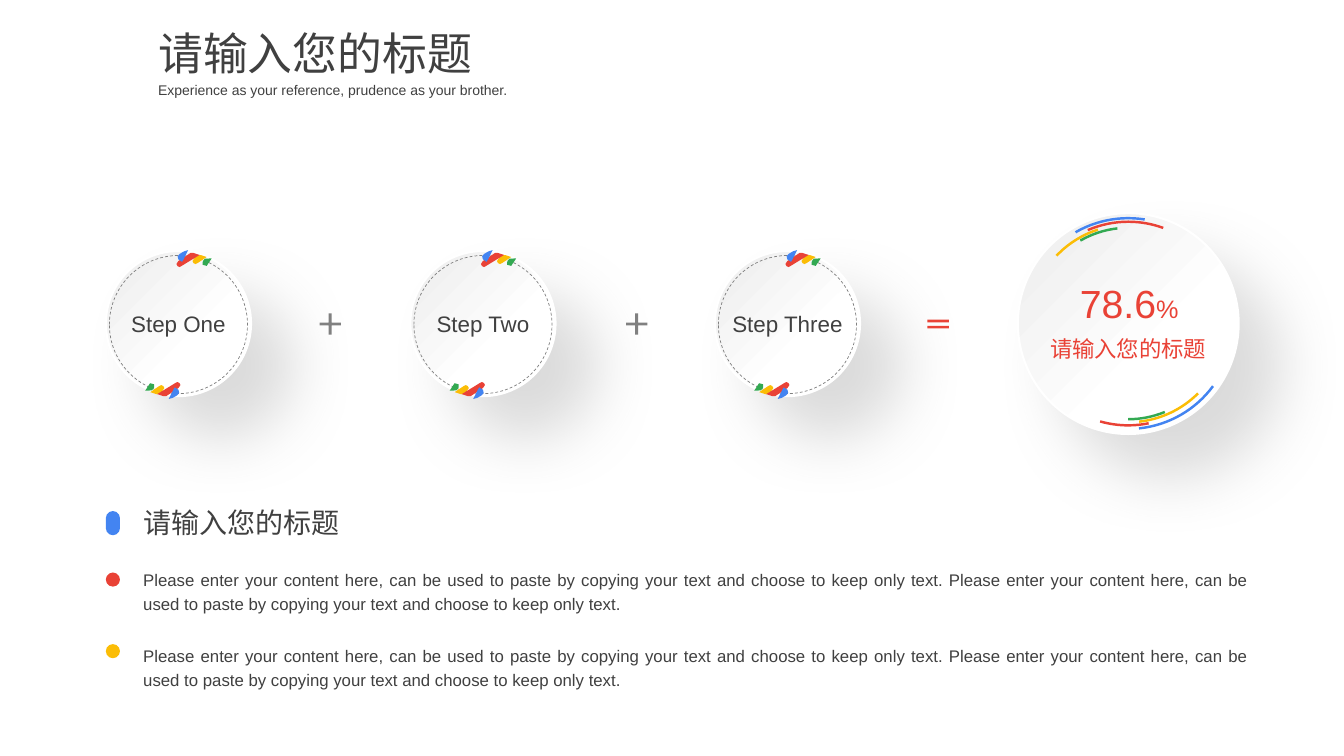
from copy import deepcopy

from lxml.etree import SubElement
from pptx import Presentation
from pptx.dml.color import RGBColor
from pptx.enum.dml import MSO_LINE
from pptx.enum.shapes import MSO_SHAPE as Shape
from pptx.enum.text import MSO_ANCHOR, MSO_AUTO_SIZE, PP_ALIGN as Align
from pptx.oxml.ns import qn
from pptx.util import Inches, Pt

FONT = "Arial"
COLORS = {
    "white": "FFFFFF", "pale": "ECECEC", "shadow": "A6A6A6",
    "gray": "808080", "text": "404040", "red": "E94236",
    "yellow": "FBBD06", "blue": "4384F1", "green": "33A952",
}
HEADING = "请输入您的标题"
CONTENT = " ".join(["Please enter your content here, can be used to paste by "
                    "copying your text and choose to keep only text."] * 2)

STEPS = ["Step One", "Step Two", "Step Three"]
STEP_X, STEP_Y, STEP_GAP = 1.77, 3.22, 3.02

# Ribbon outlines around the step centre: colour, rotation, points
RIBBONS = [
    ("yellow", 0, [(.2, -.69), (.22, -.69), (.28, -.67), (.19, -.61), (.17, -.6),
                   (.15, -.61), (.14, -.63), (.16, -.66)]),
    ("red", 0, [(.12, -.71), (.15, -.71), (.21, -.69), (.03, -.58), (.01, -.57),
                (-.01, -.58), (-.02, -.6), (0, -.63)]),
    ("blue", 330, [(.03, -.72), (.08, -.72), (.12, -.71), (.03, -.65), (.01, -.64),
                   (0, -.66), (-.01, -.68), (0, -.71)]),
    ("green", 330, [(.28, -.66), (.34, -.63), (.28, -.6), (.26, -.59),
                    (.24, -.61), (.23, -.62), (.25, -.65)]),
]

# Result arcs: colour, diameter, rotation, start and end adjustment
RESULT_X, RESULT_Y = 11.19, 3.21
ARCS = [
    ("red", 2.02, 30, 170.41, 186.95),
    ("yellow", 1.96, 45, 192.82, 0),
    ("green", 1.9, 0, 162, 175.49),
    ("blue", 2.09, 0, 165.51, 194.14),
    ("red", 2.02, 270, 203.95, 14.05),
    ("yellow", 1.96, 285, 19.74, 36.97),
    ("green", 1.9, 240, 201.91, 0),
    ("blue", 2.09, 240, 192.61, 0),
]


def rgb(name):
    return RGBColor.from_string(COLORS[name])


def paint(shape, fill=None, line=None, width=1):
    shape.shadow.inherit = False
    if fill:
        shape.fill.solid()
        shape.fill.fore_color.rgb = rgb(fill)
    else:
        shape.fill.background()
    if line:
        shape.line.color.rgb = rgb(line)
        shape.line.width = Pt(width)
    else:
        shape.line.fill.background()


def add_preset(shapes, kind, left, top, width, height, fill=None, line=None,
               line_width=1, adjustments=()):
    shape = shapes.add_shape(kind, Inches(left), Inches(top),
                             Inches(width), Inches(height))
    for index, value in enumerate(adjustments):
        shape.adjustments[index] = value
    paint(shape, fill, line, line_width)
    return shape


def add_circle(shapes, x, y, diameter, **style):
    return add_preset(shapes, Shape.OVAL, x - diameter / 2, y - diameter / 2,
                      diameter, diameter, **style)


def add_disc(shapes, x, y, diameter):
    """Add a raised disc with a pale gradient and a soft shadow."""
    disc = add_circle(shapes, x, y, diameter, line="white", line_width=1.5)
    disc.fill.gradient()
    disc.fill.gradient_angle = 135
    stops = disc.fill.gradient_stops
    for stop, color, position in zip(stops, ["white", "pale"], [0.36, 1]):
        stop.color.rgb = rgb(color)
        stop.position = position
    properties = disc.element.spPr
    stop_list = properties.find(".//" + qn("a:gsLst"))
    first_stop = deepcopy(stop_list[0])
    first_stop.set("pos", "0")
    stop_list.insert(0, first_stop)

    shadow = SubElement(properties.find(qn("a:effectLst")), qn("a:outerShdw"),
                        blurRad=str(Pt(44)), dist=str(Pt(42)),
                        dir=str(45 * 60000), algn="tl", rotWithShape="0")
    color = SubElement(shadow, qn("a:srgbClr"), val=COLORS["shadow"])
    SubElement(color, qn("a:alpha"), val="40000")


def add_ribbon(shapes, x, y, color, rotation, points):
    outline = [(Inches(x + dx), Inches(y + dy)) for dx, dy in points]
    builder = shapes.build_freeform(*outline[0])
    builder.add_line_segments(outline[1:], close=True)
    ribbon = builder.convert_to_shape()
    ribbon.rotation = rotation
    paint(ribbon, color)


def add_step(slide, x, label):
    shapes = slide.shapes.add_group_shape().shapes
    add_disc(shapes, x, STEP_Y - 0.01, 1.44)
    ring = add_circle(shapes, x, STEP_Y, 1.37, line="gray", line_width=0.5)
    ring.line.dash_style = MSO_LINE.DASH
    for side in (1, -1):
        for color, rotation, points in RIBBONS:
            turned = [(side * dx, side * dy) for dx, dy in points]
            add_ribbon(shapes, x, STEP_Y, color, rotation, turned)
    add_text(slide, x - 0.72, 3.03, 1.44, 0.37, [(label, 16)], align=Align.CENTER)


def add_result(slide):
    shapes = slide.shapes.add_group_shape().shapes
    add_disc(shapes, RESULT_X, RESULT_Y, 2.19)
    for color, diameter, rotation, start, end in ARCS:
        arc = add_preset(shapes, Shape.ARC, RESULT_X - diameter / 2,
                         RESULT_Y - diameter / 2, diameter, diameter,
                         line=color, line_width=1.75, adjustments=(start, end))
        arc.rotation = rotation
        arc.element.spPr.find(qn("a:xfrm")).set("flipV", "1")
    add_text(slide, 10.41, 2.72, 1.58, 0.57, [("78.6", 28), ("%", 18)],
             "red", Align.CENTER)
    add_text(slide, 9.87, 3.28, 2.64, 0.37, [(HEADING, 16)], "red", Align.CENTER)


def format_paragraph(paragraph, sizes, color="text", align=Align.LEFT, spacing=1):
    paragraph.alignment = align
    paragraph.line_spacing = spacing
    paragraph.space_before = Pt(0)
    for run, size in zip(paragraph.runs, sizes):
        run.font.name = FONT
        run.font.size = Pt(size)
        run.font.color.rgb = rgb(color)


def add_text(slide, left, top, width, height, parts, color="text",
             align=Align.LEFT, spacing=1):
    box = slide.shapes.add_textbox(Inches(left), Inches(top),
                                   Inches(width), Inches(height))
    box.text_frame.word_wrap = True
    paragraph = box.text_frame.paragraphs[0]
    for text, _ in parts:
        paragraph.add_run().text = text
    format_paragraph(paragraph, [size for _, size in parts], color, align, spacing)


def place(placeholder, left, top, width, height, text):
    placeholder.left, placeholder.top = Inches(left), Inches(top)
    placeholder.width, placeholder.height = Inches(width), Inches(height)
    frame = placeholder.text_frame
    frame.text = text
    frame.vertical_anchor = MSO_ANCHOR.TOP
    frame.auto_size = MSO_AUTO_SIZE.NONE
    return frame.paragraphs


def fill_placeholders(slide):
    title, body = slide.placeholders
    format_paragraph(place(title, 1.47, 0.2, 3.67, 0.64, HEADING)[0], [32])
    items = place(body, 1.32, 5.56, 11.17, 1.33, "\n".join([CONTENT] * 2))
    for item in items:
        format_paragraph(item, [12], align=Align.JUSTIFY, spacing=1.2)
        properties = item._p.get_or_add_pPr()
        properties.set("marL", "0")
        properties.set("indent", "0")
        SubElement(properties, qn("a:buNone"))
    items[1].space_before = Pt(20)


def main():
    presentation = Presentation()
    presentation.slide_width = Inches(13.33)
    presentation.slide_height = Inches(7.5)
    slide = presentation.slides.add_slide(presentation.slide_layouts[1])

    # Title, subtitle and list
    fill_placeholders(slide)
    add_text(slide, 1.47, 0.73, 4.34, 0.29,
             [("Experience as your reference, prudence as your brother.", 10)],
             spacing=1.2)
    add_text(slide, 1.32, 4.97, 3.25, 0.44, [(HEADING, 20)])

    # Markers beside the list
    add_preset(slide.shapes, Shape.ROUNDED_RECTANGLE, 1.05, 5.07, 0.14, 0.24,
               "blue", adjustments=(0.5,))
    for y, color in [(5.75, "red"), (6.46, "yellow")]:
        add_circle(slide.shapes, 1.12, y, 0.14, fill=color)

    # Equation: three steps and their result
    for index, label in enumerate(STEPS):
        add_step(slide, STEP_X + index * STEP_GAP, label)
    for left in (3.17, 6.21):
        add_preset(slide.shapes, Shape.CROSS, left, 3.11, 0.21, 0.21,
                   "gray", adjustments=(0.43,))
    add_preset(slide.shapes, Shape.MATH_EQUAL, 9.16, 3.07, 0.29, 0.29,
               "red", adjustments=(0.09, 0.12))
    add_result(slide)

    presentation.save("out.pptx")


if __name__ == "__main__":
    main()
